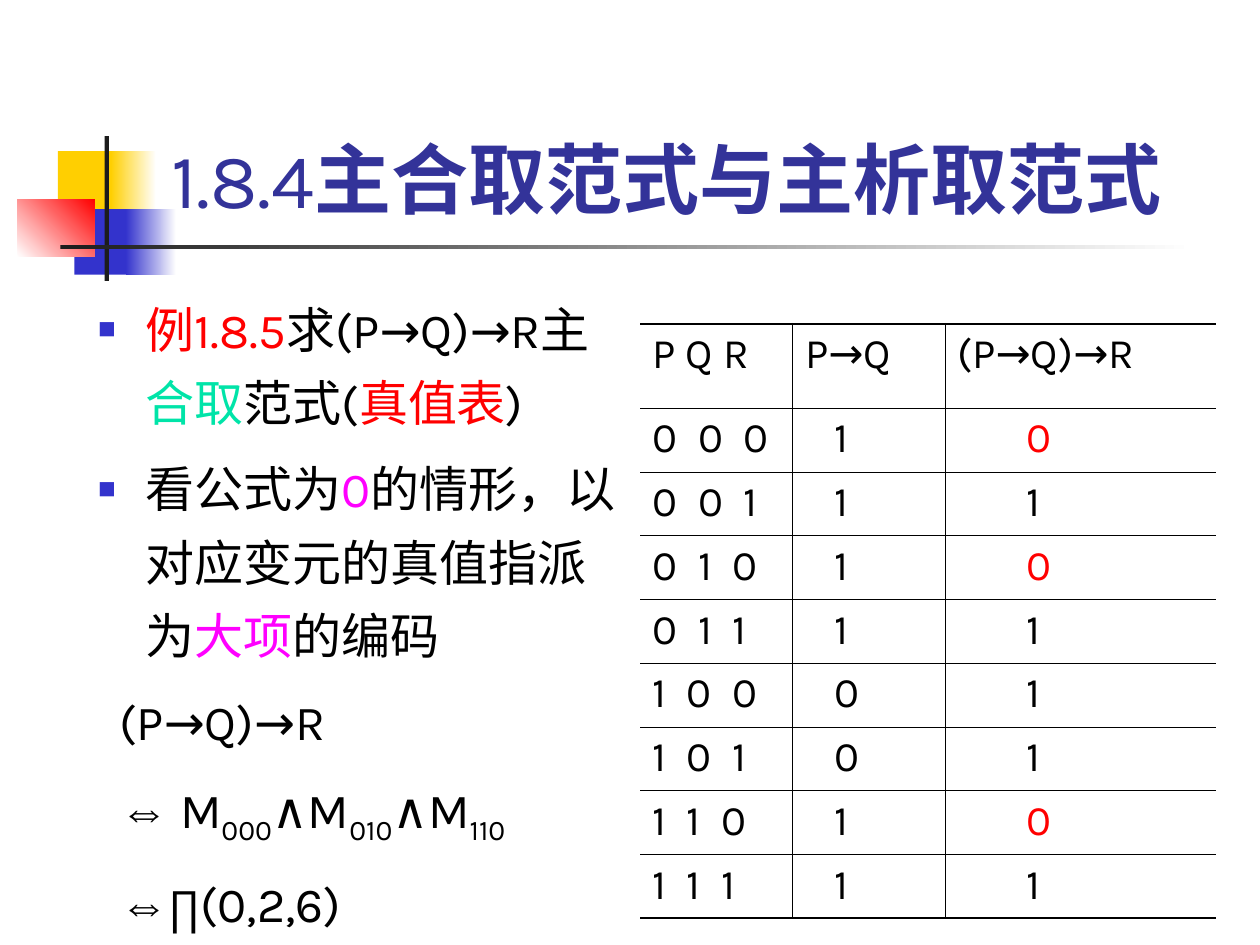
from itertools import product

from lxml import etree
from pptx import Presentation
from pptx import util as u
from pptx.dml.color import RGBColor
from pptx.enum import shapes, text
from pptx.oxml import ns

COLORS = {"yellow": "FFCF01", "blue": "3333CC", "red": "FF0000", "dark": "1C1C1C",
          "white": "FFFFFF", "title": "333399", "black": "000000",
          "green": "00E4A8", "pink": "FF00FF"}
NO_STYLE = "{2D5ABB26-0587-4C30-8999-92F81FD0307C}"

deck = Presentation()
deck.slide_width, deck.slide_height = u.Inches(10), u.Inches(7.5)
page = deck.slides.add_slide(deck.slide_layouts[6])
COL = deck.slide_width / 100
ROW = deck.slide_height / 75


def place(left, top, width, height):
    return [round(n * step) for n, step in zip((left, top, width, height), (COL, ROW) * 2)]


def write(para, spans, size, color="black", before=0):
    para.space_before = u.Pt(before)
    for words, changes in spans:
        span = para.add_run()
        span.text = words
        look = {"name": "Karla", "size": u.Pt(size), "bold": False, "color": color} | changes
        span.font.color.rgb = RGBColor.from_string(COLORS[look.pop("color")])
        for key in ("baseline", "spc"):
            if key in look:
                span.font._element.set(key, str(look.pop(key)))
        for key, value in look.items():
            setattr(span.font, key, value)


ornaments = [
    ((4.6, 12, 4.8, 5.2), ["yellow"], 0),
    ((8.8, 12, 3.6, 5.2), ["yellow", "white"], 0),
    ((5.9, 16.6, 4.6, 5.2), ["blue"], 0),
    ((10, 16.6, 4, 5.2), ["blue", "white"], 0),
    ((1.4, 15.8, 6.1, 4.6), ["white", "red"], 45),
    ((8.3, 10.8, 0.35, 11.5), ["dark"], 0),
    ((4.8, 19.45, 90, 0.35), ["dark", "white"], 0),
]
for area, tints, angle in ornaments:
    block = page.shapes.add_shape(shapes.MSO_SHAPE.RECTANGLE, *place(*area))
    block.shadow.inherit = False
    block.line.fill.background()
    if len(tints) == 1:
        block.fill.solid()
        block.fill.fore_color.rgb = RGBColor.from_string(COLORS[tints[0]])
    else:
        block.fill.gradient()
        block.fill.gradient_angle = angle
        for stop, tint in zip(block.fill.gradient_stops, tints):
            stop.color.rgb = RGBColor.from_string(COLORS[tint])

box = page.shapes.add_textbox(*place(12.6, 2.3, 85.2, 16))
box.text_frame.word_wrap = True
box.text_frame.vertical_anchor = text.MSO_ANCHOR.BOTTOM
write(box.text_frame.paragraphs[0], [("1.8.4", {}), ("主合取范式与主析取范式", {"bold": True})],
      44, "title")

red, pink, green = ({"color": name} for name in ("red", "pink", "green"))
arrow, low = {"name": "Arial"}, {"baseline": -25000}
body = [
    (True, [("例1.8.5", red), ("求(P→Q)→R主", {}), ("合取", green), ("范式(", {}),
            ("真值表", red), (")", {})]),
    (True, [("看公式为", {}), ("0", pink), ("的情形，以对应变元的真值指派为", {}),
            ("大项", pink), ("的编码", {})]),
    (False, [("(P→Q)→R", {})]),
    (False, [("⇔", arrow), (" M", {}), ("000", low), ("∧M", {}), ("010", low),
             ("∧M", {}), ("110", low)]),
    (False, [("⇔", arrow), ("∏(0,2,6)", {})]),
]
box = page.shapes.add_textbox(*place(6.8, 22.1, 43.2, 52.9))
box.text_frame.word_wrap = True
for index, (bulleted, spans) in enumerate(body):
    para = box.text_frame.paragraphs[0] if index == 0 else box.text_frame.add_paragraph()
    para.line_spacing = 1.25
    write(para, spans, 28, before=7)
    props = para._p.get_or_add_pPr()
    margin = round(COL * (3.8 if bulleted else 1.7))
    props.set("marL", str(margin))
    props.set("indent", str(-margin if bulleted else 0))
    if bulleted:
        tint = etree.SubElement(props, ns.qn("a:buClr"))
        etree.SubElement(tint, ns.qn("a:srgbClr"), val=COLORS["blue"])
        etree.SubElement(props, ns.qn("a:buSzPct"), val="60000")
        etree.SubElement(props, ns.qn("a:buFont"), typeface="Arial")
        etree.SubElement(props, ns.qn("a:buChar"), char="■")
    else:
        etree.SubElement(props, ns.qn("a:buNone"))

truth = [["P Q R", "P→Q", "(P→Q)→R"]]
for p, q, r in product((0, 1), repeat=3):
    implied = int(not p or q)
    truth.append([f"{p} {q} {r}", str(implied), str(int(not implied or r))])

widths, insets = (12.1, 12.1, 21.5), (1, 3.3, 6.5)
heights = [6.7] + [5.06] * 8
last_row, last_col = len(heights) - 1, len(widths) - 1
frame = page.shapes.add_table(len(heights), len(widths),
                              *place(50.8, 25.7, sum(widths), sum(heights)))
table = frame.table
table.first_row = table.horz_banding = False
table._tbl.tblPr.find(ns.qn("a:tableStyleId")).text = NO_STYLE
for column, width in zip(table.columns, widths):
    column.width = round(width * COL)
for line, height in zip(table.rows, heights):
    line.height = round(height * ROW)

for i, values in enumerate(truth):
    for j, value in enumerate(values):
        cell = table.cell(i, j)
        cell.margin_left = round(COL * (insets[j] if i else 1))
        changes = {"spc": 300} if i and j == 0 else {}
        if j == last_col and value == "0":
            changes = red
        write(cell.text_frame.paragraphs[0], [(value, changes)], 24, before=6)
        borders = {"a:lnL": 0.45 if j else 0, "a:lnR": 0.45 if j < last_col else 0,
                   "a:lnT": 0.45 if i else 1.08, "a:lnB": 0.45 if i < last_row else 1.08}
        props = cell._tc.get_or_add_tcPr()
        for side, points in borders.items():
            edge = etree.SubElement(props, ns.qn(side), w=str(u.Pt(points)))
            if points:
                paint = etree.SubElement(edge, ns.qn("a:solidFill"))
                etree.SubElement(paint, ns.qn("a:srgbClr"), val=COLORS["black"])
            else:
                etree.SubElement(edge, ns.qn("a:noFill"))
        cell.fill.background()

deck.save("out.pptx")
